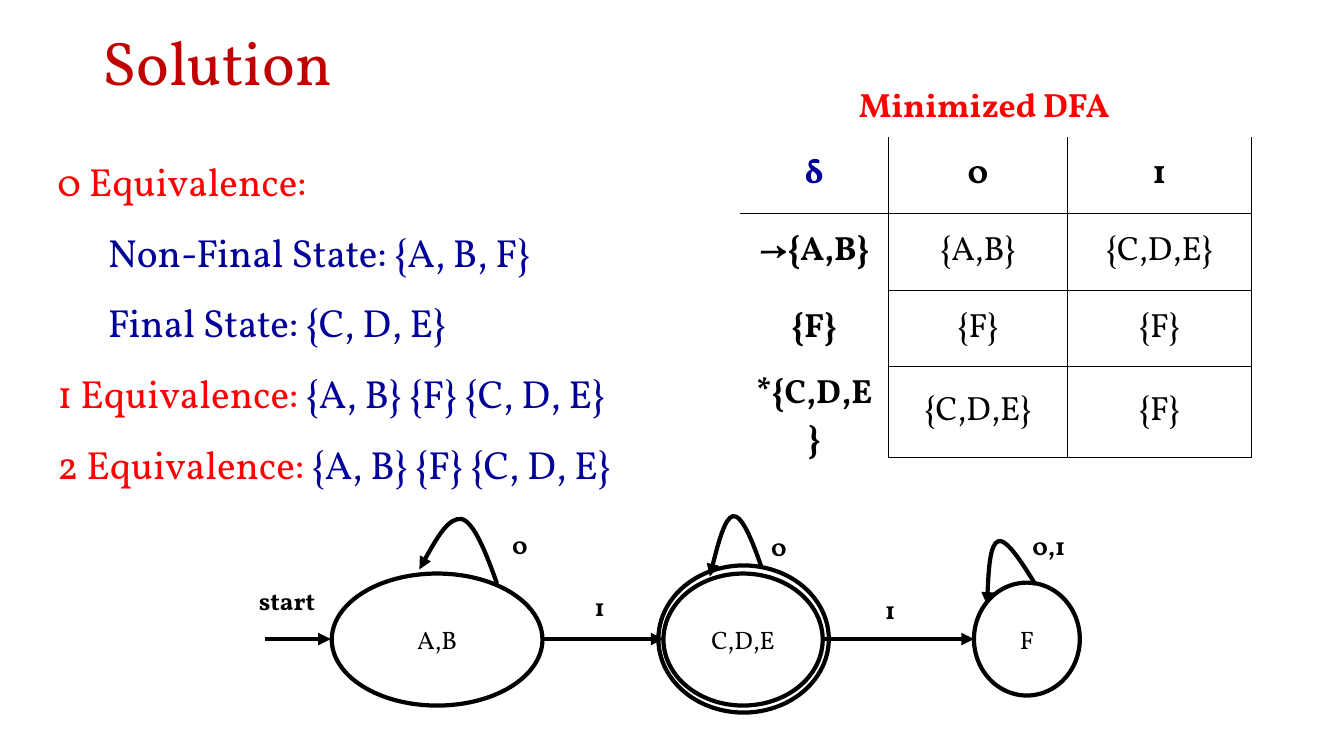
from lxml import etree
from pptx import Presentation, util as u
from pptx.dml.color import RGBColor
from pptx.enum import shapes, text
from pptx.oxml.ns import qn

PX = 9144  # 100 px to the inch
FONT = "Vollkorn"
BLACK, WHITE, RED, DARK_RED, NAVY = "000000", "FFFFFF", "FF0000", "C00000", "000099"
AXIS = 634  # common centre line of the states
CENTER, LEFT = text.PP_ALIGN.CENTER, text.PP_ALIGN.LEFT


def px(*lengths):
    return [u.Emu(length * PX) for length in lengths]


def color(value):
    return RGBColor.from_string(value)


def write(para, words, size=18, ink=BLACK, bold=False, align=LEFT):
    para.alignment = align
    span = para.add_run()
    span.text = words
    span.font.name = FONT
    span.font.size = u.Pt(size)
    span.font.bold = bold
    span.font.color.rgb = color(ink)


def place(shape, left, top, width, height):
    shape.left, shape.top, shape.width, shape.height = px(left, top, width, height)


def add_title(page, words):
    title = page.shapes.title
    place(title, 92, 2, 1150, 126)
    frame = title.text_frame
    frame.auto_size = text.MSO_AUTO_SIZE.NONE
    frame.vertical_anchor = text.MSO_ANCHOR.MIDDLE
    para = frame.paragraphs[0]
    para.line_spacing = 0.9
    write(para, words, size=44, ink=DARK_RED)


def add_steps(page, steps):
    body = page.placeholders[1]
    place(body, 47, 128, 620, 356)
    frame = body.text_frame
    frame.auto_size = text.MSO_AUTO_SIZE.NONE
    frame.vertical_anchor = text.MSO_ANCHOR.TOP
    for number, (level, spans) in enumerate(steps):
        para = frame.add_paragraph() if number else frame.paragraphs[0]
        para.level = level
        para.line_spacing = 1.5
        para.space_before = u.Pt(0)
        for words, ink in spans:
            write(para, words, size=28, ink=ink)
        # Indent by level, without a bullet
        props = para._p.get_or_add_pPr()
        props.set("marL", str(level * 50 * PX))
        props.set("indent", "0")
        etree.SubElement(props, qn("a:buNone"))


def add_label(page, words, left, top, width, height=53, **style):
    box = page.shapes.add_textbox(*px(left, top, width, height))
    box.text_frame.word_wrap = True
    write(box.text_frame.paragraphs[0], words, bold=True, **style)


def set_borders(cell, visible):
    props = cell._tc.get_or_add_tcPr()
    for side in "LRTB":
        edge = etree.SubElement(props, qn("a:ln" + side), w=str(u.Pt(1)))
        if side in visible:
            fill = etree.SubElement(edge, qn("a:solidFill"))
            etree.SubElement(fill, qn("a:srgbClr"), val=BLACK)
        else:
            etree.SubElement(edge, qn("a:noFill"))


def add_transitions(page, rows, left, top, widths, row_height):
    frame = page.shapes.add_table(
        len(rows), len(widths), *px(left, top, sum(widths), row_height * len(rows)))
    table = frame.table
    table.first_row = table.horz_banding = False
    for column, width in zip(table.columns, px(*widths)):
        column.width = width
    for r, row in enumerate(rows):
        table.rows[r].height = px(row_height)[0]
        for c, words in enumerate(row):
            cell = table.cell(r, c)
            # Row lines stop at the state column, except under the header
            visible = "R"
            if c > 0:
                visible += "L"
            if c > 0 or r == 0:
                visible += "B"
            if r == 1 or (r > 1 and c > 0):
                visible += "T"
            set_borders(cell, visible)
            cell.fill.background()
            cell.vertical_anchor = text.MSO_ANCHOR.MIDDLE
            write(cell.text_frame.paragraphs[0], words, size=24, align=CENTER,
                  ink=NAVY if r == c == 0 else BLACK, bold=r == 0 or c == 0)


def draw_line(shape, arrow=False):
    shape.line.color.rgb = color(BLACK)
    shape.line.width = u.Pt(3)
    if arrow:
        etree.SubElement(shape.line._get_or_add_ln(), qn("a:tailEnd"), type="triangle")


def add_state(page, middle, width, height, name=""):
    state = page.shapes.add_shape(
        shapes.MSO_SHAPE.OVAL,
        *px(middle - width // 2, AXIS - height // 2, width, height))
    state.shadow.inherit = False
    state.fill.solid()
    state.fill.fore_color.rgb = color(WHITE)
    draw_line(state)
    if name:
        state.text_frame.vertical_anchor = text.MSO_ANCHOR.MIDDLE
        write(state.text_frame.paragraphs[0], name, align=CENTER)


def add_arrow(page, start, end):
    arrow = page.shapes.add_connector(
        shapes.MSO_CONNECTOR.STRAIGHT, *px(start, AXIS, end, AXIS))
    draw_line(arrow, arrow=True)
    etree.SubElement(arrow._element.spPr, qn("a:effectLst"))


def add_loop(page, start, *points):
    builder = page.shapes.build_freeform(*start, scale=PX)
    builder.add_line_segments(points, close=False)
    loop = builder.convert_to_shape()
    loop.shadow.inherit = False
    loop.fill.background()
    draw_line(loop, arrow=True)
    # Each three points make one Bézier curve
    segments = loop._element.xpath(".//a:lnTo")
    for first in range(0, len(segments), 3):
        curve = etree.Element(qn("a:cubicBezTo"))
        segments[first].addprevious(curve)
        for segment in segments[first:first + 3]:
            curve.append(segment[0])
            segment.getparent().remove(segment)


def main():
    deck = Presentation()
    deck.slide_width, deck.slide_height = px(1333, 750)
    page = deck.slides.add_slide(deck.slide_layouts[1])

    # Title and equivalence steps
    add_title(page, "Solution")
    groups = ("{A, B} {F} {C, D, E}", NAVY)
    add_steps(page, [
        (0, [("0 Equivalence:", RED)]),
        (1, [("Non-Final State: {A, B, F}", NAVY)]),
        (1, [("Final State: {C, D, E}", NAVY)]),
        (0, [("1 Equivalence: ", RED), groups]),
        (0, [("2 Equivalence: ", RED), groups]),
    ])

    # Transition table
    add_label(page, "Minimized DFA", 842, 78, 291, 50, size=24, ink=RED)
    add_transitions(page, [
        ("δ", "0", "1"),
        ("→{A,B}", "{A,B}", "{C,D,E}"),
        ("{F}", "{F}", "{F}"),
        ("*{C,D,E}", "{C,D,E}", "{F}"),
    ], 734, 136, (147, 178, 182), 76)

    # States, with a double ring for the final one
    add_state(page, 737, 169, 146)
    add_state(page, 433, 209, 131, "A,B")
    add_state(page, 737, 158, 131, "C,D,E")
    add_state(page, 1018, 105, 112, "F")

    # Moves between states
    for start, end in ((263, 328), (538, 658), (816, 966)):
        add_arrow(page, start, end)
    add_loop(page, (493, 579), (482, 548), (470, 518), (458, 515),
             (445, 513), (430, 539), (416, 565))
    add_loop(page, (755, 562), (746, 536), (736, 511), (727, 512),
             (719, 514), (711, 543), (704, 572))
    add_loop(page, (1027, 580), (1013, 557), (998, 534), (990, 537),
             (982, 540), (980, 570), (979, 600))

    # Input symbols
    for words, left, top, width in (
            ("start", 247, 576, 96), ("0", 498, 520, 42), ("0", 755, 522, 42),
            ("0,1", 1014, 521, 72), ("1", 580, 582, 37), ("1", 868, 585, 37)):
        add_label(page, words, left, top, width)

    deck.save("out.pptx")


if __name__ == "__main__":
    main()
